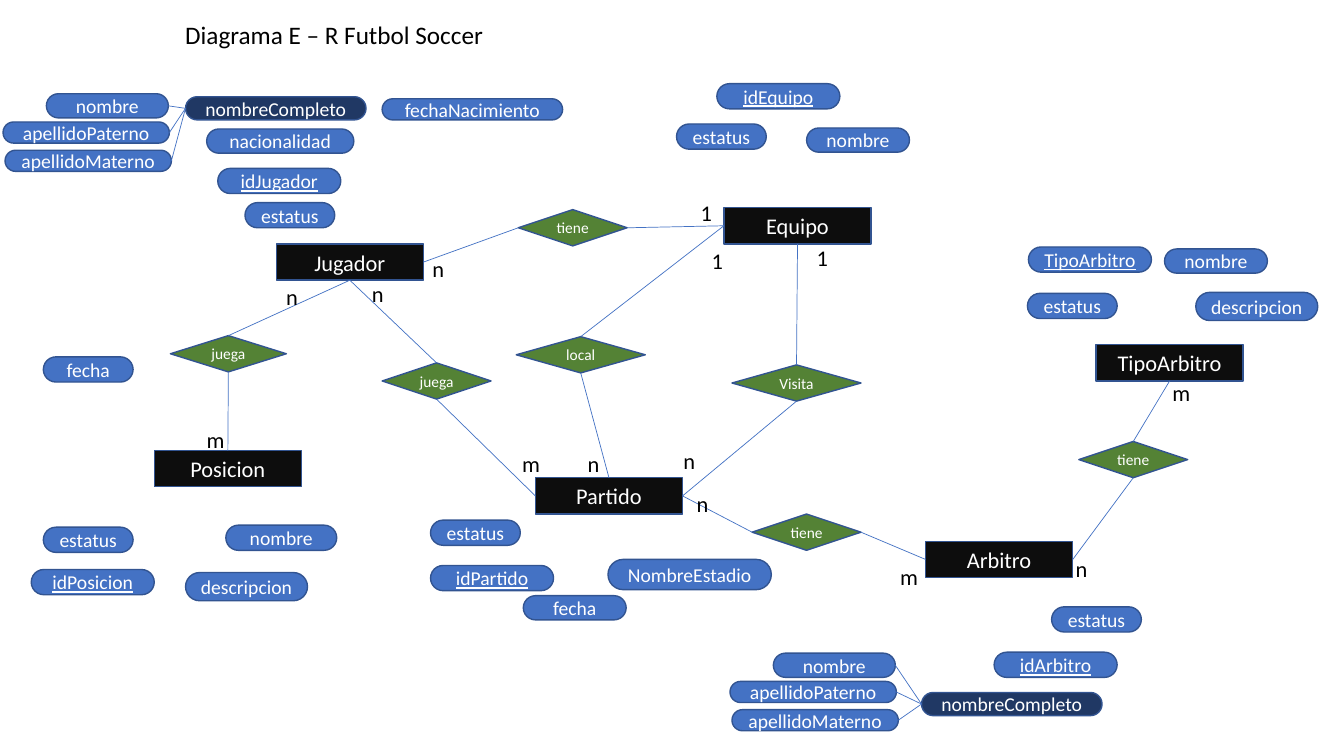
from lxml import etree
from pptx import Presentation
from pptx.dml.color import RGBColor
from pptx.enum import shapes, text
from pptx.oxml import ns
from pptx.util import Inches, Pt

BLACK = RGBColor(0x00, 0x00, 0x00)
WHITE = RGBColor(0xFF, 0xFF, 0xFF)
ENTITY_FILL = RGBColor(0x0D, 0x0D, 0x0D)
RELATION_FILL = RGBColor(0x54, 0x82, 0x35)
ATTRIBUTE_FILL = RGBColor(0x44, 0x72, 0xC4)
COMPOSITE_FILL = RGBColor(0x20, 0x38, 0x64)
OUTLINE = RGBColor(0x32, 0x54, 0x91)
FONT = "Calibri"
TOP, LEFT, BOTTOM, RIGHT = range(4)

ENTITIES = {
    "Jugador": (2.74, 2.42),
    "Posicion": (1.53, 4.47),
    "Arbitro": (9.18, 5.37),
    "Equipo": (7.18, 2.06),
    "TipoArbitro": (10.87, 3.42),
    "Partido": (5.31, 4.74),
}

RELATIONS = [
    ("local", 5.12, 3.34, 1.28, ("Equipo", LEFT, TOP), ("Partido", TOP, BOTTOM)),
    ("tiene", 5.14, 2.08, 1.08, ("Jugador", RIGHT, LEFT), ("Equipo", LEFT, RIGHT)),
    ("juega", 1.69, 3.33, 1.15, ("Jugador", BOTTOM, TOP), ("Posicion", TOP, BOTTOM)),
    ("Visita", 7.26, 3.62, 1.28, ("Equipo", BOTTOM, TOP), ("Partido", RIGHT, BOTTOM)),
    ("tiene", 10.7, 4.38, 1.08, ("TipoArbitro", BOTTOM, TOP), ("Arbitro", RIGHT, BOTTOM)),
    ("tiene", 7.46, 5.1, 1.08, ("Partido", RIGHT, LEFT), ("Arbitro", LEFT, RIGHT)),
    ("juega", 3.79, 3.6, 1.08, ("Jugador", BOTTOM, TOP), ("Partido", LEFT, BOTTOM)),
]

KEYS = [
    ("idJugador", 2.16, 1.67),
    ("idArbitro", 9.86, 6.47),
    ("idPosicion", 0.31, 5.65),
    ("idPartido", 4.27, 5.61),
    ("idEquipo", 7.11, 0.83),
    ("TipoArbitro", 10.2, 2.45),
]

ATTRIBUTES = [
    ("fecha", 0.43, 3.54, 0.89, 0.25),
    ("nacionalidad", 2.05, 1.28, 1.46, 0.24),
    ("fechaNacimiento", 3.79, 0.98, 1.79, 0.21),
    ("nombre", 8, 1.27, 1.02, 0.24),
    ("fecha", 5.19, 5.91, 1.02, 0.24),
    ("nombre", 2.24, 5.21, 1.1, 0.25),
    ("descripcion", 1.84, 5.68, 1.21, 0.28),
    ("nombre", 11.55, 2.47, 1.02, 0.24),
    ("descripcion", 11.86, 2.9, 1.21, 0.28),
    ("NombreEstadio", 6.03, 5.55, 1.62, 0.3),
]

STATUS_POSITIONS = [(2.43, 2.01), (0.43, 5.23), (4.27, 5.16),
                    (10.43, 6.02), (10.19, 2.91), (6.71, 1.23)]

FULL_NAMES = [((1.84, 0.96), (0.03, 0.93)), ((9.14, 6.87), (7.24, 6.48))]
NAME_PARTS = [
    ("nombre", 0.43, 0, 1.21, 0.24),
    ("apellidoPaterno", 0, 0.28, 1.65, 0.21),
    ("apellidoMaterno", 0.02, 0.56, 1.65, 0.21),
]

CARDINALITIES = [
    ("m", 1.95, 4.18), ("n", 2.74, 2.76), ("n", 4.19, 2.48), ("1", 6.85, 1.93),
    ("1", 8, 2.37), ("1", 6.96, 2.4), ("n", 6.81, 4.81), ("n", 6.68, 4.39),
    ("n", 5.73, 4.42), ("n", 10.57, 5.46), ("m", 8.83, 5.54), ("m", 11.53, 3.71),
    ("n", 3.59, 2.73), ("m", 5.08, 4.42),
]


def write_text(shape, content, *, size, color=WHITE, underline=None, centered=True):
    frame = shape.text_frame
    frame.word_wrap = True
    paragraph = frame.paragraphs[0]
    paragraph.alignment = text.PP_ALIGN.CENTER if centered else text.PP_ALIGN.LEFT
    run = paragraph.add_run()
    run.text = content
    run.font.name = FONT
    run.font.size = Pt(size)
    run.font.underline = underline
    run.font.color.rgb = color


def add_node(slide, kind, content, left, top, width, height, *, fill, size, underline=None):
    shape = slide.shapes.add_shape(
        kind, Inches(left), Inches(top), Inches(width), Inches(height))
    shape.shadow.inherit = False
    shape.fill.solid()
    shape.fill.fore_color.rgb = fill
    shape.line.color.rgb = OUTLINE
    shape.line.width = Pt(1)
    frame = shape.text_frame
    frame.margin_left = frame.margin_right = frame.margin_top = frame.margin_bottom = 0
    frame.vertical_anchor = text.MSO_ANCHOR.MIDDLE
    write_text(shape, content, size=size, underline=underline)
    return shape


def add_entity(slide, content, left, top):
    return add_node(slide, shapes.MSO_SHAPE.RECTANGLE, content, left, top, 1.46, 0.36,
                    fill=ENTITY_FILL, size=16)


def add_relation(slide, content, left, top, width):
    return add_node(slide, shapes.MSO_SHAPE.DIAMOND, content, left, top, width, 0.36,
                    fill=RELATION_FILL, size=11)


def add_attribute(slide, content, left, top, width, height, *,
                  fill=ATTRIBUTE_FILL, underline=None):
    shape = add_node(slide, shapes.MSO_SHAPE.ROUNDED_RECTANGLE, content, left, top,
                     width, height, fill=fill, size=14, underline=underline)
    shape.adjustments[0] = 0.5
    return shape


def add_link(slide, start, start_side, end, end_side):
    connector = slide.shapes.add_connector(shapes.MSO_CONNECTOR.STRAIGHT, 0, 0, 0, 0)
    connector.begin_connect(start, start_side)
    connector.end_connect(end, end_side)
    connector.line.color.rgb = ATTRIBUTE_FILL
    connector.line.width = Pt(0.5)
    etree.SubElement(connector._element.spPr, ns.qn("a:effectLst"))


def add_label(slide, content, left, top, width, height, *, size, centered=False):
    box = slide.shapes.add_textbox(
        Inches(left), Inches(top), Inches(width), Inches(height))
    write_text(box, content, size=size, color=BLACK, centered=centered)
    box.text_frame.auto_size = text.MSO_AUTO_SIZE.SHAPE_TO_FIT_TEXT


def add_full_name(slide, composite_position, parts_position):
    composite = add_attribute(slide, "nombreCompleto", *composite_position, 1.79, 0.23,
                              fill=COMPOSITE_FILL)
    left, top = parts_position
    for content, offset_x, offset_y, width, height in NAME_PARTS:
        part = add_attribute(slide, content, left + offset_x, top + offset_y, width, height)
        add_link(slide, part, RIGHT, composite, LEFT)


def main():
    presentation = Presentation()
    presentation.slide_width = Inches(13.33)
    presentation.slide_height = Inches(7.5)
    slide = presentation.slides.add_slide(presentation.slide_layouts[6])

    add_label(slide, "Diagrama E – R Futbol Soccer", 0.83, 0.14, 4.97, 0.4,
              size=18, centered=True)
    entities = {name: add_entity(slide, name, *position)
                for name, position in ENTITIES.items()}
    for content, left, top, width, *links in RELATIONS:
        relation = add_relation(slide, content, left, top, width)
        for entity, entity_side, relation_side in links:
            add_link(slide, entities[entity], entity_side, relation, relation_side)

    for content, left, top in KEYS:
        add_attribute(slide, content, left, top, 1.22, 0.25, underline=True)
    for left, top in STATUS_POSITIONS:
        add_attribute(slide, "estatus", left, top, 0.89, 0.25)
    for attribute in ATTRIBUTES:
        add_attribute(slide, *attribute)
    for composite_position, parts_position in FULL_NAMES:
        add_full_name(slide, composite_position, parts_position)
    for content, left, top in CARDINALITIES:
        add_label(slide, content, left, top, 0.31, 0.37, size=16)

    presentation.save("out.pptx")


if __name__ == "__main__":
    main()
